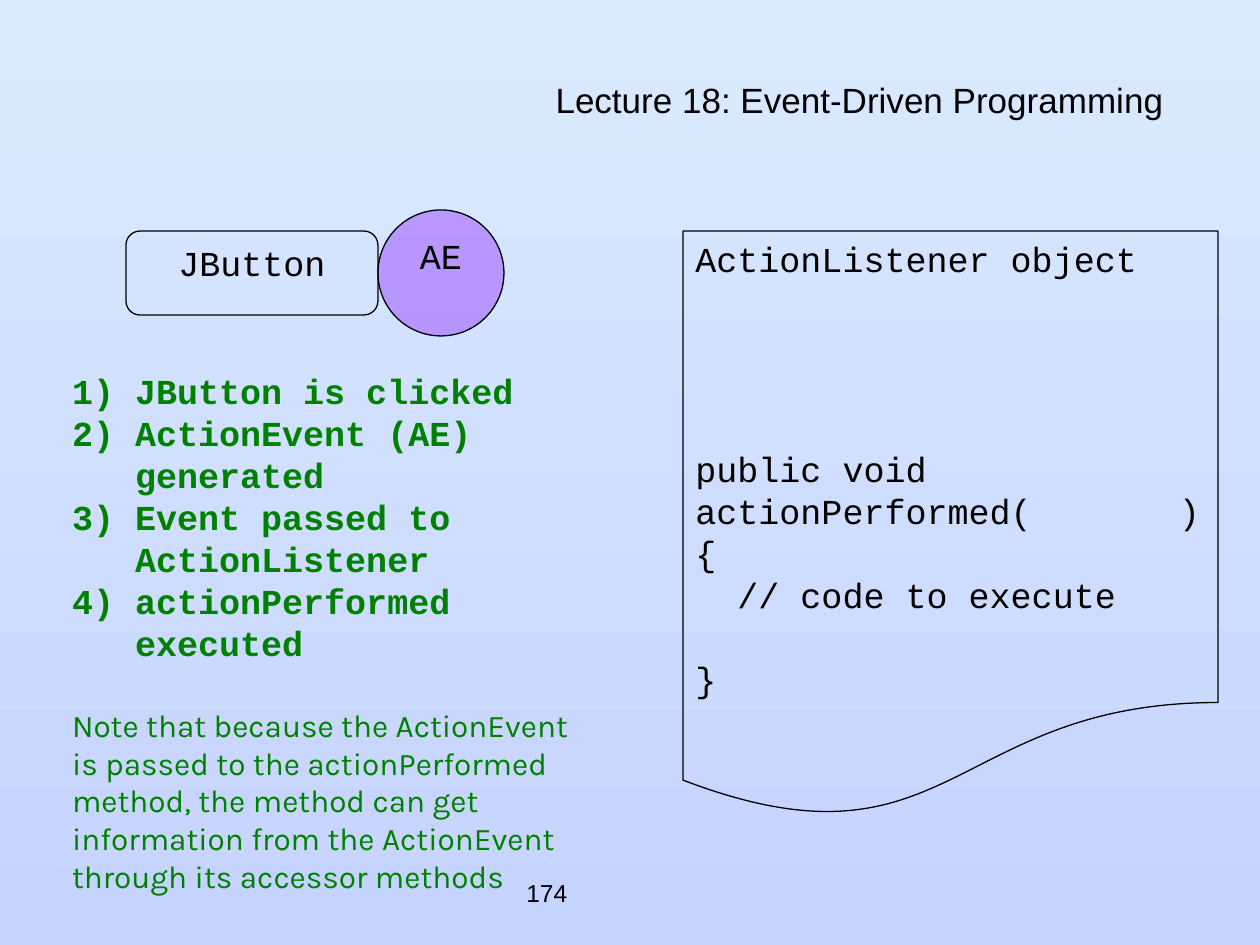
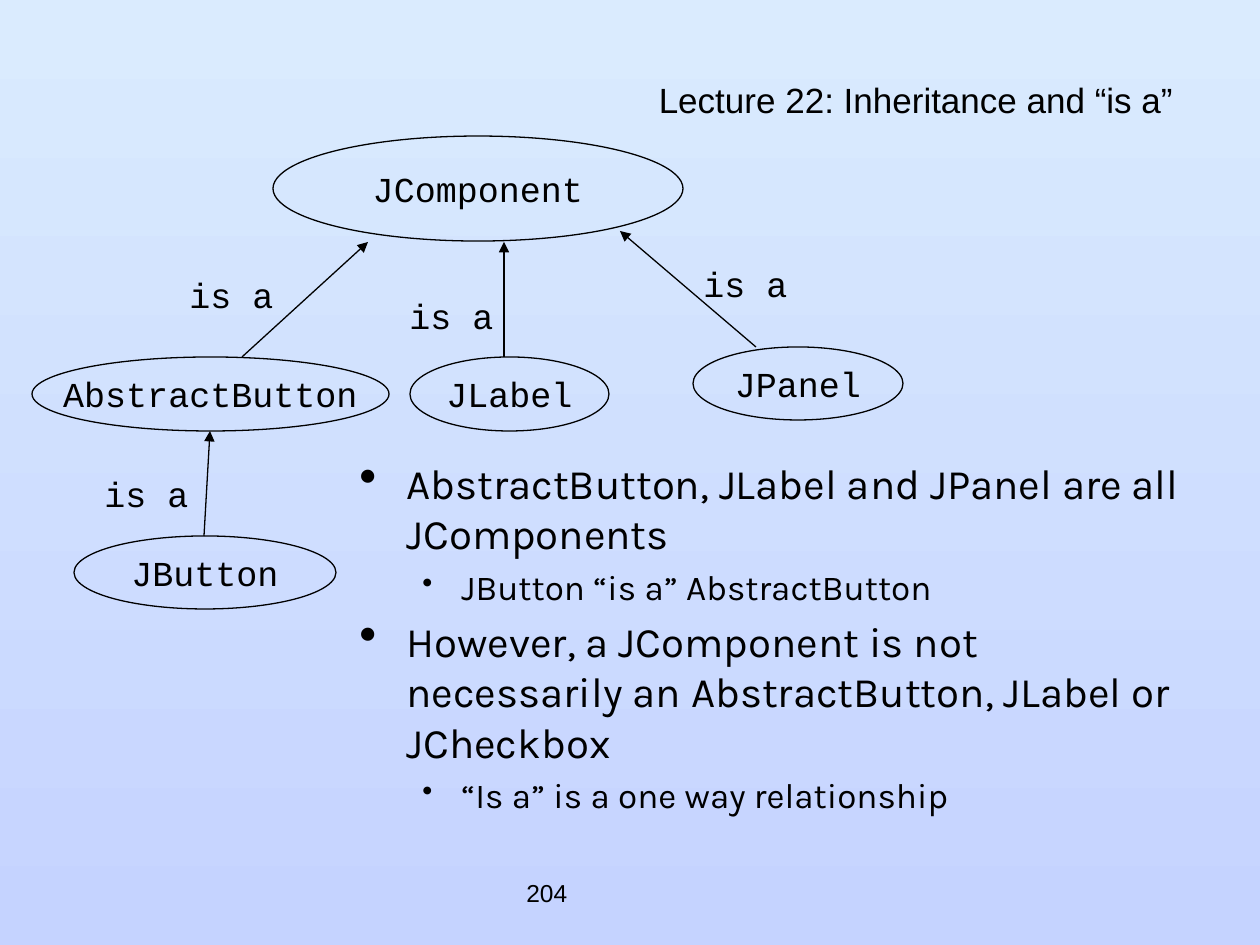
from lxml import etree
from pptx import Presentation
from pptx.dml.color import RGBColor
from pptx.enum.shapes import MSO_CONNECTOR, MSO_SHAPE as SHAPE
from pptx.enum.text import MSO_ANCHOR as ANCHOR, MSO_AUTO_SIZE, PP_ALIGN as ALIGN
from pptx.oxml.ns import qn
from pptx.util import Emu, Pt

SCALE = 914400 / 126  # EMU in one px
COLORS = {"black": "000000", "green": "008000", "violet": "8000FF",
          "sky": "DAEBFE", "periwinkle": "C5D3FF"}

# Text styles
CODE = {"name": "Courier New", "size": 20, "color": "black"}
STEP = {**CODE, "color": "green", "bold": True}
NOTE = {"name": "Karla", "size": 18, "color": "green"}
HEADING = {"name": "Arial", "size": 20, "color": "black"}
FOOTER = {**HEADING, "size": 14}
POINT = {"name": "Karla", "size": 24, "color": "black"}
SUBPOINT = {**POINT, "size": 20}

# Boxes shared by the slides: left, top, width, height
TITLE_BOX = (73, 84, 1113, 42)
FOOTER_BOX = (514, 861, 262, 63)

# Slide 1: event flow
EVENT_TITLE, EVENT_NUMBER = "Lecture 18: Event-Driven Programming ", "174"
BUTTON_BOX = (126, 231, 252, 84)
EVENT_BOX = (378, 210, 126, 126)
LISTENER_BOX = (683, 231, 535, 588)
STEPS_BOX = (32, 336, 598, 567)
LINE = 24  # points in one line of code
LISTENER_CODE = [  # text, lines left free above
    ("ActionListener object", 0),
    ("public void actionPerformed(       )", 4),
    ("{", 0),
    ("  // code to execute", 0),
    ("}", 1),
]
STEPS = ["JButton is clicked", "ActionEvent (AE) generated",
         "Event passed to ActionListener", "actionPerformed executed"]
STEPS_NOTE = ("Note that because the ActionEvent is passed to the actionPerformed "
              "method, the method can get information from the ActionEvent "
              "through its accessor methods")

# Slide 2: class tree
TREE_TITLE, TREE_NUMBER = "Lecture 22: Inheritance and “is a”", "204"
CLASSES = {
    "JComponent": (273, 136, 410, 105),
    "AbstractButton": (32, 357, 357, 74),
    "JLabel": (410, 357, 199, 74),
    "JPanel": (693, 347, 210, 73),
    "JButton": (74, 536, 262, 73),
}
IS_A = [  # arrow start, arrow end, label corner
    ((242, 357), (368, 242), (179, 273)),
    ((504, 357), (504, 242), (399, 294)),
    ((756, 347), (620, 231), (693, 262)),
    ((204, 536), (210, 431), (94, 472)),
]
LABEL_SIZE = (105, 42)
POINTS_BOX = (347, 451, 850, 420)
POINTS = [  # level, text
    (0, "AbstractButton, JLabel and JPanel are all JComponents"),
    (1, "JButton “is a” AbstractButton"),
    (0, "However, a JComponent is not necessarily an AbstractButton, JLabel or JCheckbox"),
    (1, "“Is a” is a one way relationship"),
]
LEVELS = [  # style, left margin and hanging indent in px, bullet size
    (POINT, 47, 47, 120),
    (SUBPOINT, 102, 39, 85),
]


def emu(*lengths):
    return [Emu(round(n * SCALE)) for n in lengths]


def rgb(name):
    return RGBColor.from_string(COLORS[name])


def sub(parent, tag, **attrs):
    return etree.SubElement(parent, qn(tag), {k: str(v) for k, v in attrs.items()})


def style_font(font, style):
    for key, value in style.items():
        if key == "color":
            font.color.rgb = rgb(value)
        else:
            setattr(font, key, Pt(value) if key == "size" else value)


def add_text(tf, text, style, first=True, **fmt):
    """Fill the first paragraph of a frame, or append one."""
    p = tf.paragraphs[0] if first else tf.add_paragraph()
    for key, value in fmt.items():
        setattr(p, key, value)
    r = p.add_run()
    r.text = text
    style_font(r.font, style)
    return p


def set_frame(tf, anchor, wrap):
    for key, value in {"auto_size": MSO_AUTO_SIZE.NONE, "word_wrap": wrap,
                       "vertical_anchor": anchor}.items():
        setattr(tf, key, value)
    return tf


def hang(p, margin, indent):
    pPr = p._p.get_or_add_pPr()
    left, back = emu(margin, -indent)
    pPr.set("marL", str(left))
    pPr.set("indent", str(back))
    return pPr


def add_box(s, kind, box, line=True, anchor=ANCHOR.TOP, wrap=True):
    sp = s.shapes.add_shape(kind, *emu(*box))
    sp.shadow.inherit = False
    sp.fill.background()
    if line:
        sp.line.color.rgb = rgb("black")
        sp.line.width = Pt(0.75)
    else:
        sp.line.fill.background()
    tf = set_frame(sp.text_frame, anchor, wrap)
    tf.paragraphs[0].alignment = ALIGN.LEFT
    return sp


def add_textbox(s, box, anchor=ANCHOR.MIDDLE, wrap=False):
    return set_frame(s.shapes.add_textbox(*emu(*box)).text_frame, anchor, wrap)


def add_arrow(s, start, end):
    c = s.shapes.add_connector(MSO_CONNECTOR.STRAIGHT, *emu(*start, *end))
    c.line.color.rgb = rgb("black")
    c.line.width = Pt(0.75)
    sub(c.line._get_or_add_ln(), "a:tailEnd", type="triangle")
    sub(c._element.spPr, "a:effectLst")


def add_slide(prs, title, number):
    s = prs.slides.add_slide(prs.slide_layouts[5])
    sp = s.shapes.title
    sp.left, sp.top, sp.width, sp.height = emu(*TITLE_BOX)
    tf = set_frame(sp.text_frame, ANCHOR.MIDDLE, True)
    add_text(tf, title, HEADING, alignment=ALIGN.RIGHT, line_spacing=0.7)
    add_text(add_textbox(s, FOOTER_BOX), number, FOOTER)
    return s


def set_background(prs):
    fill = prs.slide_master.background.fill
    fill.gradient()
    fill.gradient_angle = 270
    for stop, name in zip(fill.gradient_stops, ("sky", "periwinkle")):
        stop.color.rgb = rgb(name)


def build_event_slide(prs):
    s = add_slide(prs, EVENT_TITLE, EVENT_NUMBER)
    button = add_box(s, SHAPE.ROUNDED_RECTANGLE, BUTTON_BOX)
    add_text(button.text_frame, "JButton", CODE, alignment=ALIGN.CENTER)

    # Listener with its code
    tf = add_box(s, SHAPE.FLOWCHART_DOCUMENT, LISTENER_BOX).text_frame
    for i, (text, free) in enumerate(LISTENER_CODE):
        p = add_text(tf, text, CODE, first=i == 0, alignment=ALIGN.LEFT)
        if free:
            p.space_before = Pt(free * LINE)

    # Numbered steps and the note below
    tf = add_box(s, SHAPE.ROUNDED_RECTANGLE, STEPS_BOX, line=False).text_frame
    for i, text in enumerate(STEPS):
        p = add_text(tf, text, STEP, first=i == 0, alignment=ALIGN.LEFT)
        sub(hang(p, 63, 63), "a:buAutoNum", type="arabicParenR")
    add_text(tf, STEPS_NOTE, NOTE, first=False, alignment=ALIGN.LEFT,
             space_before=Pt(LINE))

    # Event ball, see-through
    ball = add_box(s, SHAPE.OVAL, EVENT_BOX)
    ball.fill.solid()
    ball.fill.fore_color.rgb = rgb("violet")
    sub(ball._element.spPr.find(qn("a:solidFill"))[0], "a:alpha", val=34000)
    add_text(ball.text_frame, "AE", CODE, alignment=ALIGN.CENTER)


def build_tree_slide(prs):
    s = add_slide(prs, TREE_TITLE, TREE_NUMBER)

    # Bulleted points
    tf = add_textbox(s, POINTS_BOX, ANCHOR.TOP, True)
    for i, (level, text) in enumerate(POINTS):
        style, margin, indent, percent = LEVELS[level]
        p = add_text(tf, text, style, first=i == 0, level=level)
        pPr = hang(p, margin, indent)
        sub(sub(pPr, "a:buClr"), "a:srgbClr", val=COLORS["black"])
        sub(pPr, "a:buSzPct", val=percent * 1000)
        sub(pPr, "a:buChar", char="•")
        if i:
            p.space_before = Pt(style["size"] / 5)

    # Classes and their relations
    for name, box in CLASSES.items():
        sp = add_box(s, SHAPE.OVAL, box, anchor=ANCHOR.MIDDLE, wrap=False)
        add_text(sp.text_frame, name, CODE, alignment=ALIGN.CENTER)
    for start, end, corner in IS_A:
        add_arrow(s, start, end)
        add_text(add_textbox(s, corner + LABEL_SIZE), "is a", CODE,
                 alignment=ALIGN.CENTER)


def main():
    prs = Presentation()
    prs.slide_width, prs.slide_height = emu(1260, 945)
    set_background(prs)
    build_event_slide(prs)
    build_tree_slide(prs)
    prs.save("out.pptx")


if __name__ == "__main__":
    main()
